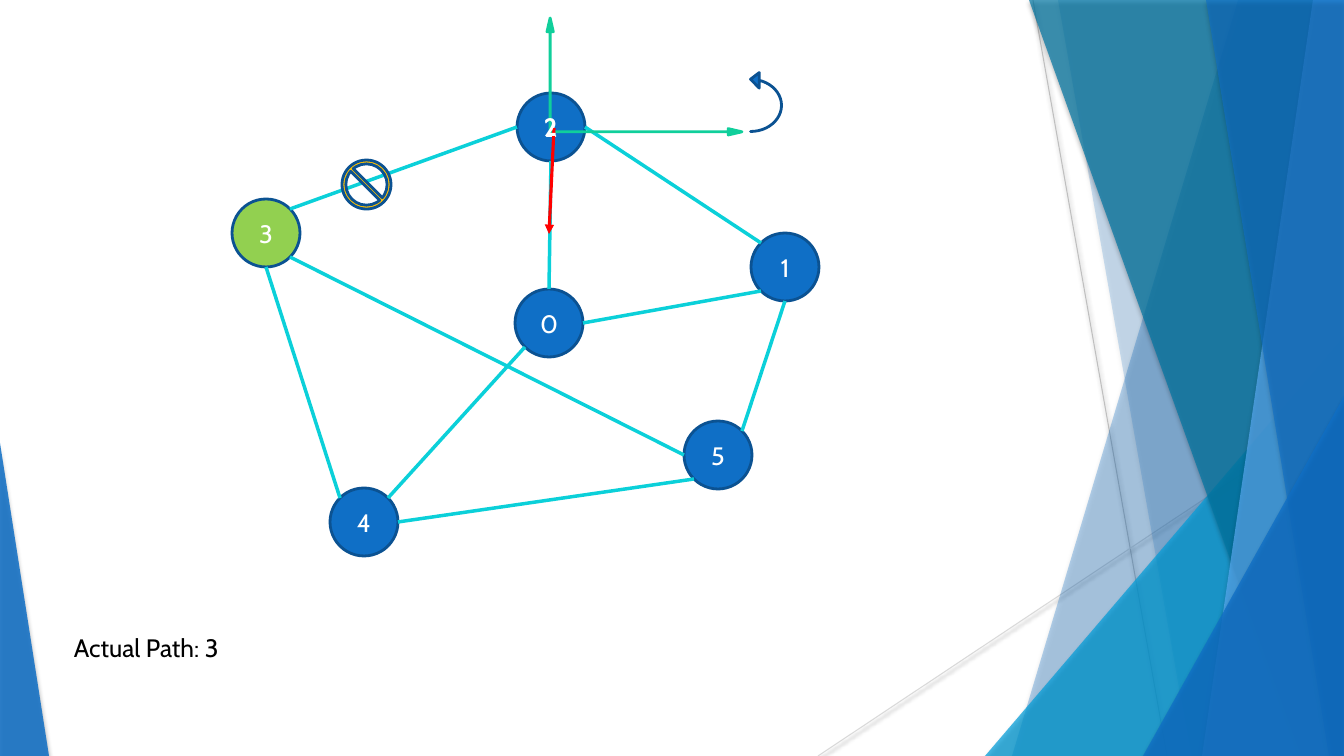
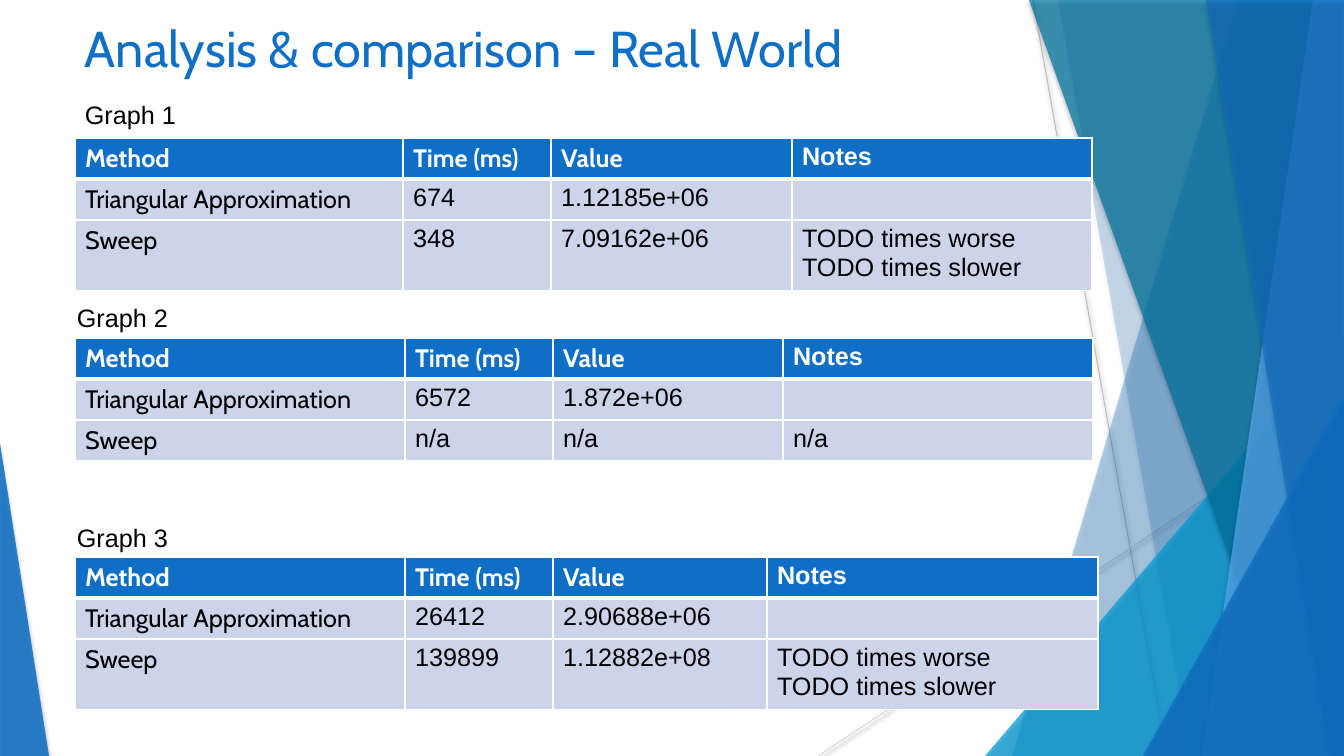
from math import cos, radians, sin

from lxml import etree
from pptx import Presentation
from pptx.dml.color import RGBColor
from pptx.enum.shapes import MSO_CONNECTOR, MSO_SHAPE
from pptx.enum.text import MSO_ANCHOR, PP_ALIGN
from pptx.oxml.ns import qn
from pptx.util import Pt

STRAIGHT = MSO_CONNECTOR.STRAIGHT
ELLIPSE = MSO_SHAPE.OVAL
TRIANGLE = MSO_SHAPE.ISOSCELES_TRIANGLE
CORNER_ARROW = MSO_SHAPE.LEFT_UP_ARROW
CURVED_ARROW = MSO_SHAPE.CURVED_UP_ARROW
NO_ENTRY = MSO_SHAPE.NO_SYMBOL
CENTER = PP_ALIGN.CENTER
MIDDLE = MSO_ANCHOR.MIDDLE

PX = 9071
WIDTH, HEIGHT = 1344, 756
BLUE, DARK_BLUE, CYAN = "0F6FC6", "0B5292", "0BD0D9"
GREEN, MINT, GOLD, RED = "92D050", "10CF9B", "FFC000", "FF0000"
WHITE, BLACK, PALE = "FFFFFF", "000000", "CCD4EA"
HEAD_FONT, BODY_FONT = "Cabin", "Arial"
hue = RGBColor.from_string


def dress(shape, fill=None, line=None, weight=2, opacity=100, shadow=None):
    if fill:
        shape.fill.solid()
        shape.fill.fore_color.rgb = hue(fill)
    if line:
        shape.line.color.rgb = hue(line)
        shape.line.width = Pt(weight)
    else:
        shape.line.fill.background()
    properties = shape.element.spPr
    if opacity < 100:
        color = properties.find(qn("a:solidFill"))[0]
        etree.SubElement(color, qn("a:alpha"), val=str(opacity * 1000))
    effects = etree.SubElement(properties, qn("a:effectLst"))
    if shadow:
        blur, distance, strength = shadow
        outer = etree.SubElement(
            effects, qn("a:outerShdw"), blurRad=str(Pt(blur)),
            dist=str(Pt(distance)), dir="5400000", rotWithShape="0")
        color = etree.SubElement(outer, qn("a:srgbClr"), val=BLACK)
        etree.SubElement(color, qn("a:alpha"), val=str(strength * 1000))


def write(para, text, font=HEAD_FONT, color=BLACK, size=18, bold=False):
    span = para.add_run()
    span.text = text
    span.font.name = font
    span.font.size = Pt(size)
    span.font.bold = bold
    span.font.color.rgb = hue(color)


deck = Presentation()
deck.slide_width, deck.slide_height = WIDTH * PX, HEIGHT * PX
layout = deck.slide_layouts[6]
for holder in list(layout.placeholders):
    holder.element.getparent().remove(holder.element)
graph_page = deck.slides.add_slide(layout)
table_page = deck.slides.add_slide(layout)

backdrop = []
for x1, y1, x2, y2, color in [
    (1033, 0, 1167, HEIGHT, "BFBFBF"),
    (WIDTH, 406, 818, HEIGHT, "D9D9D9"),
]:
    ray = graph_page.shapes.add_connector(STRAIGHT, x1 * PX, y1 * PX, x2 * PX, y2 * PX)
    dress(ray, line=color, weight=0.75, shadow=(3.1, 1.6, 38))
    backdrop.append(ray)

for kind, geometry, color, opacity in [
    ("band", (1238, 1012), BLUE, 30),
    ("band", (1058, 1191), BLUE, 20),
    ("triangle", (985, 336, 359, 1), "009DD9", 72),
    ("band", (1029, 1301), "0076A3", 70),
    ("band", (1313, 1202), "59AAF2", 70),
    ("band", (1206, 1329), BLUE, 65),
    ("triangle", (1143, 396, 201, 1), BLUE, 80),
    ("triangle", (0, 443, 49, 0), BLUE, 85),
]:
    if kind == "band":
        top_x, bottom_x = geometry
        outline = graph_page.shapes.build_freeform(top_x, 0, PX)
        outline.add_line_segments([(WIDTH, 0), (WIDTH, HEIGHT), (bottom_x, HEIGHT)])
        facet = outline.convert_to_shape()
    else:
        left, top, width, apex = geometry
        facet = graph_page.shapes.add_shape(
            TRIANGLE, left * PX, top * PX, width * PX, (HEIGHT - top) * PX)
        facet.adjustments[0] = apex
    dress(facet, color, opacity=opacity, shadow=(3, 2, 35))
    backdrop.append(facet)

for shape in backdrop:
    layout.shapes.element.append(shape.element)

RADIUS = 34
nodes = {
    "5": (718, 455), "4": (364, 522), "3": (266, 233),
    "2": (551, 127), "1": (785, 267), "0": (549, 323),
}
for name, (x, y) in nodes.items():
    node = graph_page.shapes.add_shape(
        ELLIPSE, (x - RADIUS) * PX, (y - RADIUS) * PX, 2 * RADIUS * PX, 2 * RADIUS * PX)
    dress(node, GREEN if name == "3" else BLUE, DARK_BLUE)
    node.text_frame.vertical_anchor = MIDDLE
    para = node.text_frame.paragraphs[0]
    para.alignment = CENTER
    write(para, name, color=WHITE)

for start, start_angle, end, end_angle in [
    ("2", 270, "0", 90),
    ("1", 225, "0", 0),
    ("3", 315, "5", 180),
    ("4", 45, "0", 225),
    ("5", 225, "4", 0),
    ("1", 270, "5", 45),
    ("1", 135, "2", 0),
    ("2", 180, "3", 45),
    ("3", 270, "4", 135),
]:
    ends = []
    for name, angle in [(start, start_angle), (end, end_angle)]:
        x, y = nodes[name]
        ends.append(round(x + RADIUS * cos(radians(angle))) * PX)
        ends.append(round(y - RADIUS * sin(radians(angle))) * PX)
    edge = graph_page.shapes.add_connector(STRAIGHT, *ends)
    dress(edge, line=CYAN, weight=2.5)

axes = graph_page.shapes.add_shape(CORNER_ARROW, 547 * PX, 18 * PX, 195 * PX, 117 * PX)
for index, value in enumerate([0, 0.027, 0.118]):
    axes.adjustments[index] = value
axes.element.spPr.find(qn("a:xfrm")).set("flipH", "1")
dress(axes, MINT, MINT)

caption = graph_page.shapes.add_textbox(64 * PX, 627 * PX, 531 * PX, 40 * PX)
caption.text_frame.word_wrap = True
write(caption.text_frame.paragraphs[0], "Actual Path: 3")

heading = graph_page.shapes.add_connector(STRAIGHT, 554 * PX, 128 * PX, 549 * PX, 234 * PX)
dress(heading, line=RED, weight=2.25)
etree.SubElement(heading.element.spPr.find(qn("a:ln")), qn("a:tailEnd"), type="triangle")

origin = graph_page.shapes.add_textbox(534 * PX, 106 * PX, 27 * PX, 40 * PX)
write(origin.text_frame.paragraphs[0], "2", color=WHITE, bold=True)

turn = graph_page.shapes.add_shape(CURVED_ARROW, 736 * PX, 86 * PX, 60 * PX, 31 * PX)
for index, value in enumerate([0, 0.5, 0.283]):
    turn.adjustments[index] = value
turn.rotation = 270
dress(turn, BLUE, DARK_BLUE)

blocked = graph_page.shapes.add_shape(NO_ENTRY, 342 * PX, 160 * PX, 49 * PX, 49 * PX)
blocked.adjustments[0] = 0.079
dress(blocked, GOLD, DARK_BLUE)

title = table_page.shapes.add_textbox(75 * PX, 12 * PX, 948 * PX, 58 * PX)
title.text_frame.word_wrap = True
write(title.text_frame.paragraphs[0], "Analysis & comparison – Real World", color=BLUE, size=36)

ROW_HEIGHT = 41
HEADER = ["Method", "Time (ms)", "Value", "Notes"]
VERDICT = "TODO times worse\nTODO times slower"
for label, label_x, label_y, table_y, widths, approximation, sweep in [
    ("Graph 1", 75, 94, 138, (328, 148, 241, 300),
     ["674", "1.12185e+06", ""], ["348", "7.09162e+06", VERDICT]),
    ("Graph 2", 67, 297, 338, (330, 148, 230, 310),
     ["6572", "1.872e+06", ""], ["n/a", "n/a", "n/a"]),
    ("Graph 3", 67, 517, 557, (330, 148, 214, 331),
     ["26412", "2.90688e+06", ""], ["139899", "1.12882e+08", VERDICT]),
]:
    box = table_page.shapes.add_textbox(label_x * PX, label_y * PX, 267 * PX, 40 * PX)
    box.text_frame.word_wrap = True
    write(box.text_frame.paragraphs[0], label, BODY_FONT)

    rows = [HEADER, ["Triangular Approximation", *approximation], ["Sweep", *sweep]]
    table = table_page.shapes.add_table(
        len(rows), len(HEADER), 75 * PX, table_y * PX,
        sum(widths) * PX, len(rows) * ROW_HEIGHT * PX).table
    table.horz_banding = False
    for column, width in zip(table.columns, widths):
        column.width = width * PX
    for r, values in enumerate(rows):
        table.rows[r].height = ROW_HEIGHT * PX
        is_header = r == 0
        for c, value in enumerate(values):
            cell = table.cell(r, c)
            cell.fill.solid()
            cell.fill.fore_color.rgb = hue(BLUE if is_header else PALE)
            font = HEAD_FONT if c == 0 or (is_header and c < 3) else BODY_FONT
            for index, text in enumerate(value.split("\n") if value else []):
                frame = cell.text_frame
                para = frame.add_paragraph() if index else frame.paragraphs[0]
                write(para, text, font, WHITE if is_header else BLACK, bold=is_header)
            properties = cell.fill.fore_color and cell._tc.get_or_add_tcPr()
            for index, side in enumerate("LRTB"):
                thick = (r, side) in [(0, "B"), (1, "T")]
                border = etree.Element(qn("a:ln" + side), w=str(Pt(3 if thick else 0.96)))
                solid = etree.SubElement(border, qn("a:solidFill"))
                etree.SubElement(solid, qn("a:srgbClr"), val=WHITE)
                properties.insert(index, border)

deck.save("out.pptx")
